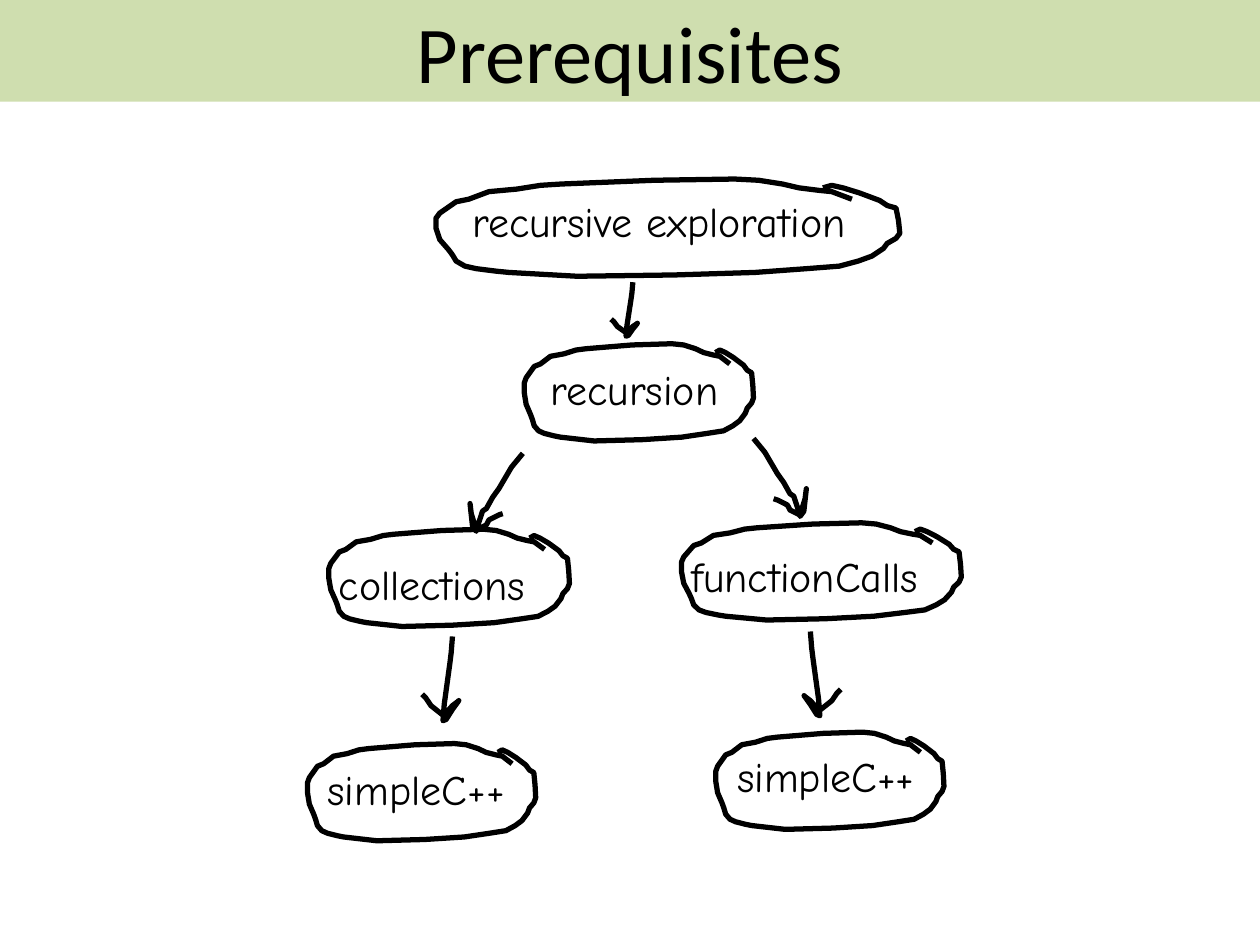
from lxml.etree import SubElement
from pptx import Presentation
from pptx.dml.color import RGBColor
from pptx.enum.text import MSO_ANCHOR, MSO_AUTO_SIZE, PP_ALIGN
from pptx.oxml.ns import qn
from pptx.util import Cm, Pt

BLACK = RGBColor(0x00, 0x00, 0x00)
GREEN = RGBColor(0xC3, 0xD6, 0x9B)

# Hand-drawn strokes, each in its own grid: (width, height), points
OVAL = (368, 77), [
    (330, 16), (314, 10), (304, 9), (288, 7), (275, 4), (256, 1), (237, 0),
    (173, 1), (99, 4), (83, 5), (64, 8), (42, 10), (26, 16), (16, 18),
    (3, 27), (0, 31), (0, 39), (3, 48), (10, 56), (13, 60), (16, 65),
    (23, 69), (32, 71), (48, 73), (58, 74), (112, 77), (189, 76), (253, 74),
    (294, 71), (320, 69), (335, 65), (346, 61), (355, 55), (358, 51),
    (365, 47), (368, 43), (367, 33), (365, 23), (358, 21), (352, 17),
    (336, 11), (323, 7), (314, 5), (307, 7)]
DOWN = (29, 69), [
    (24, 0), (23, 13), (22, 21), (17.5, 54), (16.5, 67), (19, 66), (24, 58),
    (29, 51), (28, 52), (24, 55), (17, 63), (7, 55), (3, 49), (0, 46)]
SLANT = (43, 62), [
    (43, 0), (34, 11), (24, 28), (19, 35), (14, 44), (11, 46), (7, 58),
    (6, 62), (3, 58), (1, 40), (2, 48), (6, 61), (14, 57), (16, 53),
    (24, 49), (27, 48)]

# Label, its left, top and width, then the oval's left, top and width
NODES = [
    ("recursive exploration", 9.27, 3.81, 8.56, 8.79, 3.61, 9.35),
    ("recursion", 10.85, 7.21, 4.06, 10.57, 6.93, 4.62),
    ("collections", 6.58, 11.13, 4.5, 6.63, 10.67, 4.85),
    ("simpleC++", 6.35, 15.27, 4.27, 6.2, 14.99, 4.6),
    ("functionCalls", 13.69, 10.97, 5.49, 13.74, 10.54, 5.64),
    ("simpleC++", 14.61, 15.01, 4.27, 14.43, 14.76, 4.6),
]
# Stroke, left, top, width, height, mirrored
ARROWS = [
    (DOWN, 12.32, 5.69, 0.53, 1.12, False),
    (SLANT, 9.45, 9.14, 1.09, 1.57, False),
    (SLANT, 15.19, 8.84, 1.09, 1.57, True),
    (DOWN, 8.51, 12.83, 0.74, 1.75, False),
    (DOWN, 16.21, 12.73, 0.74, 1.75, True),
]


class Sketch:
    """Holds the style and the slide being drawn."""
    head, hand = "Calibri", "Comic Neue"
    pen = Pt(3)

    def __init__(self, slide):
        self.slide = slide

    def style(self, frame, face, size):
        for run in frame.paragraphs[0].runs:
            run.font.name = face
            run.font.size = Pt(size)
            run.font.color.rgb = BLACK

    def title(self, text, width, height):
        box = self.slide.shapes.title
        box.left, box.top = Cm(0), Cm(0)
        box.width, box.height = Cm(width), Cm(height)
        box.fill.solid()
        box.fill.fore_color.rgb = GREEN
        tint = box.fill._xPr.find(qn("a:solidFill"))[0]
        SubElement(tint, qn("a:alpha"), val="80000")
        frame = box.text_frame
        frame.text = text
        frame.auto_size = MSO_AUTO_SIZE.NONE
        frame.vertical_anchor = MSO_ANCHOR.MIDDLE
        frame.paragraphs[0].alignment = PP_ALIGN.CENTER
        self.style(frame, self.head, 46)

    def label(self, text, left, top, width):
        box = self.slide.shapes.add_textbox(
            Cm(left), Cm(top), Cm(width), Cm(1.27))
        frame = box.text_frame
        frame.text = text
        frame.word_wrap = False
        frame.auto_size = MSO_AUTO_SIZE.SHAPE_TO_FIT_TEXT
        self.style(frame, self.hand, 24)

    def stroke(self, form, left, top, width, height, flip=False):
        """Fit a stroke into a box, mirrored left to right if flip."""
        (wide, high), points = form
        spots = [(Cm(left + width * ((wide - x if flip else x) / wide)),
                  Cm(top + height * y / high)) for x, y in points]
        path = self.slide.shapes.build_freeform(*spots[0])
        path.add_line_segments(spots[1:], close=False)
        shape = path.convert_to_shape()
        shape.shadow.inherit = False
        shape.fill.background()
        shape.line.color.rgb = BLACK
        shape.line.width = self.pen

    def node(self, text, left, top, width, x, y, span):
        self.stroke(OVAL, x, y, span, 1.96)
        self.label(text, left, top, width)


def main():
    deck = Presentation()
    deck.slide_width, deck.slide_height = Cm(25.4), Cm(19.05)
    sketch = Sketch(deck.slides.add_slide(deck.slide_layouts[5]))
    sketch.title("Prerequisites", 25.4, 2.05)
    for node in NODES:
        sketch.node(*node)
    for arrow in ARROWS:
        sketch.stroke(*arrow)
    deck.save("out.pptx")


if __name__ == "__main__":
    main()
